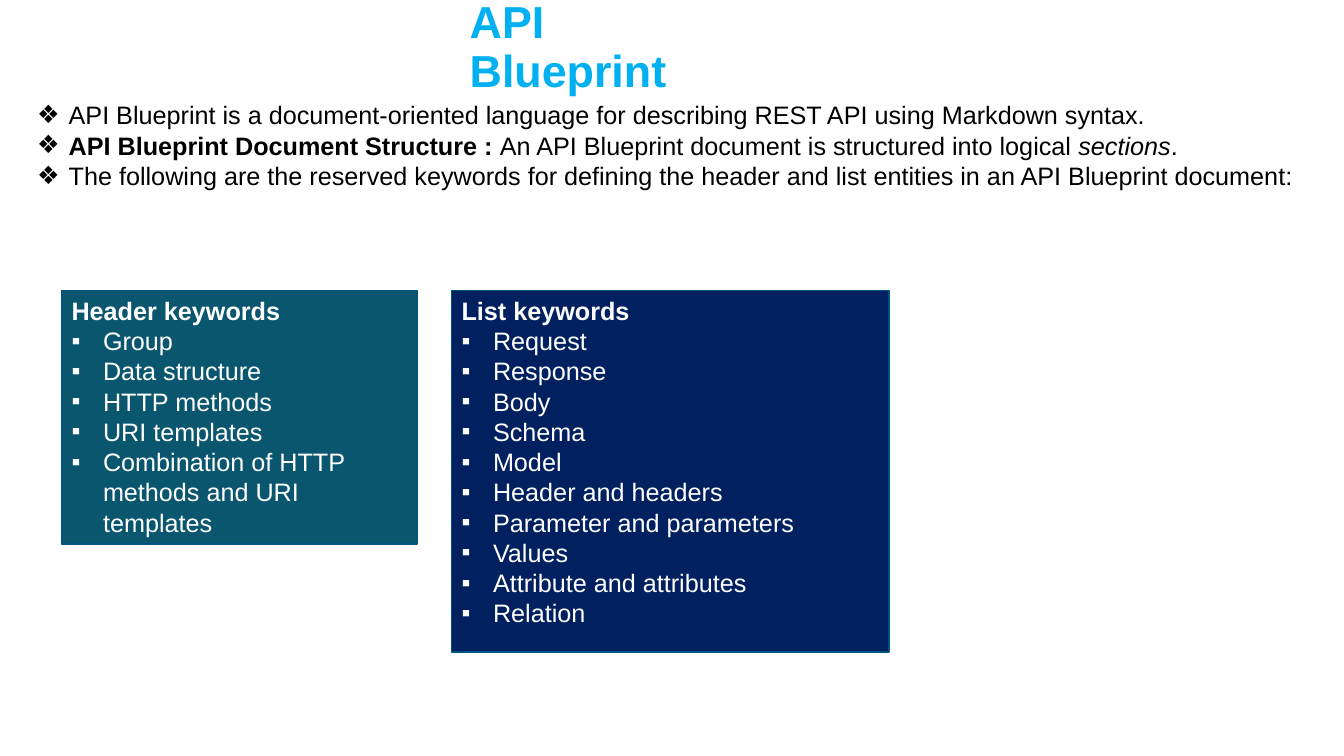
from lxml.etree import SubElement
from pptx import Presentation
from pptx.dml.color import RGBColor as RGB
from pptx.enum.shapes import MSO_SHAPE as SHAPE
from pptx.enum.text import MSO_ANCHOR as ANCHOR, MSO_AUTO_SIZE as AUTO, PP_ALIGN as ALIGN
from pptx.oxml.ns import qn
from pptx.util import Pt

COLORS = {"title": "00B0F0", "text": "000000", "light": "FFFFFF",
          "header": "09566E", "list": "002060", "border": "005380"}
INTRO = [
    [("API Blueprint is a document-oriented language for describing REST API "
      "using Markdown syntax.", {})],
    [("API Blueprint Document Structure : ", {"bold": True}),
     ("An API Blueprint document is structured into logical ", {}),
     ("sections", {"italic": True}), (".", {})],
    [("The following are the reserved keywords for defining the header and list "
      "entities in an API Blueprint document:", {})],
]
HEADER_KEYWORDS = ["Group", "Data structure", "HTTP methods", "URI templates",
                   "Combination of HTTP methods and URI templates"]
LIST_KEYWORDS = ["Request", "Response", "Body", "Schema", "Model", "Header and headers",
                 "Parameter and parameters", "Values", "Attribute and attributes", "Relation"]


def color(name):
    return RGB.from_string(COLORS[name])


def set_attrs(obj, values):
    for name, value in values.items():
        setattr(obj, name, value)


def add_run(p, text, size, ink, style):
    r = p.add_run()
    r.text = text
    set_attrs(r.font, {"name": "Arial", "size": Pt(size), "bold": False, **style})
    r.font.color.rgb = color(ink)


def add_bullet(p, char):
    pPr = p._p.get_or_add_pPr()
    pPr.set("marL", str(Pt(22.5)))
    pPr.set("indent", str(Pt(-22.5)))
    SubElement(pPr, qn("a:buFont"), typeface="Arial")
    SubElement(pPr, qn("a:buChar"), char=char)


def fill_paragraphs(tf, rows, ink):
    for i, (char, runs) in enumerate(rows):
        p = tf.paragraphs[0] if i == 0 else tf.add_paragraph()
        p.alignment = ALIGN.LEFT
        if char:
            add_bullet(p, char)
        for text, style in runs:
            add_run(p, text, 18, ink, style)


def place_title(s, left, top, width, height):
    sp = s.shapes.title
    set_attrs(sp, {"left": Pt(left), "top": Pt(top), "width": Pt(width), "height": Pt(height)})
    tf = sp.text_frame
    set_attrs(tf, {"margin_left": 0, "margin_top": 0, "margin_right": 0, "margin_bottom": 0,
                   "word_wrap": True, "auto_size": AUTO.NONE, "vertical_anchor": ANCHOR.TOP})
    p = tf.paragraphs[0]
    set_attrs(p, {"alignment": ALIGN.LEFT, "line_spacing": 0.9})
    add_run(p, "API Blueprint", 32, "title", {"bold": True})


def add_intro(s, left, top, width, height):
    sp = s.shapes.add_textbox(Pt(left), Pt(top), Pt(width), Pt(height))
    tf = sp.text_frame
    set_attrs(tf, {"word_wrap": True, "auto_size": AUTO.SHAPE_TO_FIT_TEXT})
    fill_paragraphs(tf, [("❖", runs) for runs in INTRO], "text")


def add_keyword_card(s, left, top, width, height, fill, heading, keywords):
    sp = s.shapes.add_shape(SHAPE.RECTANGLE, Pt(left), Pt(top), Pt(width), Pt(height))
    sp.shadow.inherit = False
    sp.fill.solid()
    sp.fill.fore_color.rgb = color(fill)
    sp.line.color.rgb = color("border")
    sp.line.width = Pt(1)
    tf = sp.text_frame
    set_attrs(tf, {"word_wrap": True, "vertical_anchor": ANCHOR.TOP})
    rows = [(None, [(heading, {"bold": True})])]
    rows += [("▪", [(keyword, {})]) for keyword in keywords]
    fill_paragraphs(tf, rows, "light")


def main():
    prs = Presentation()
    set_attrs(prs, {"slide_width": Pt(960), "slide_height": Pt(540)})
    s = prs.slides.add_slide(prs.slide_layouts[5])
    place_title(s, 335.5, 0, 168.5, 52.5)
    add_intro(s, 19.5, 67.7, 918.7, 72.7)
    add_keyword_card(s, 44, 207.3, 254, 181.4, "header", "Header keywords", HEADER_KEYWORDS)
    add_keyword_card(s, 322.6, 207.3, 312.5, 258.5, "list", "List keywords", LIST_KEYWORDS)
    prs.save("out.pptx")


if __name__ == "__main__":
    main()
